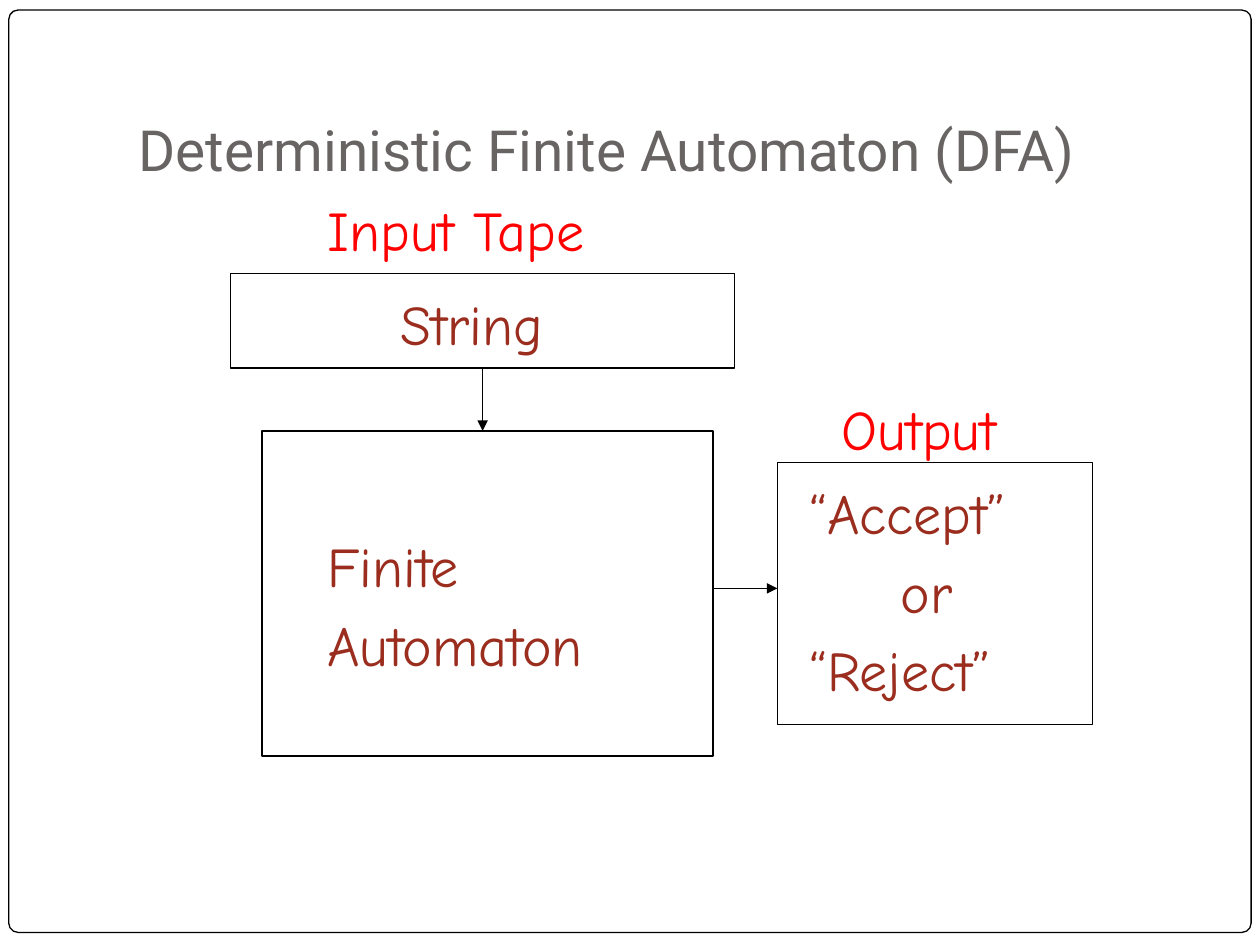
from dataclasses import dataclass

from lxml import etree
from pptx import Presentation
from pptx import util as u
from pptx.dml.color import RGBColor
from pptx.enum import shapes, text
from pptx.oxml import ns


@dataclass(frozen=True)
class Theme:
    title_font: str = "Roboto"
    diagram_font: str = "Comic Neue"
    title_size: float = 32.4
    diagram_size: float = 32
    paragraph_gap: float = 6.4
    line_width: float = 0.75
    paper: RGBColor = RGBColor(0xFF, 0xFF, 0xFF)
    ink: RGBColor = RGBColor(0, 0, 0)
    title: RGBColor = RGBColor(0x69, 0x64, 0x64)
    heading: RGBColor = RGBColor(0xFF, 0, 0)
    content: RGBColor = RGBColor(0x9B, 0x2D, 0x1F)


THEME = Theme()


def inches(*lengths):
    return [u.Inches(length) for length in lengths]


def style_font(paragraph, name, size, color):
    paragraph.font.name = name
    paragraph.font.size = u.Pt(size)
    paragraph.font.color.rgb = color


def style_line(line):
    line.color.rgb = THEME.ink
    line.width = u.Pt(THEME.line_width)


def add_box(slide, *place, kind=shapes.MSO_SHAPE.RECTANGLE):
    box = slide.shapes.add_shape(kind, *inches(*place))
    box.shadow.inherit = False
    box.fill.background()
    style_line(box.line)
    return box


def add_frame(slide):
    frame = add_box(slide, 0.07, 0.08, 9.86, 7.32,
                    kind=shapes.MSO_SHAPE.ROUNDED_RECTANGLE)
    frame.adjustments[0] = 0.01
    frame.fill.solid()
    frame.fill.fore_color.rgb = THEME.paper
    # Send the frame behind the title
    slide.shapes._spTree.insert(2, frame._element)


def set_title(slide, wording):
    title = slide.shapes.title
    title.left, title.top, title.width, title.height = inches(1, 0.3, 8.5, 1.25)
    body = title.text_frame
    body.text = wording
    body.word_wrap = True
    body.auto_size = text.MSO_AUTO_SIZE.NONE
    body.vertical_anchor = text.MSO_ANCHOR.BOTTOM
    body.margin_bottom = u.Inches(0.1)
    paragraph = body.paragraphs[0]
    paragraph.alignment = text.PP_ALIGN.LEFT
    style_font(paragraph, THEME.title_font, THEME.title_size, THEME.title)


def add_label(slide, wording, color, *place):
    label = slide.shapes.add_textbox(*inches(*place))
    body = label.text_frame
    body.word_wrap = True
    body.text = wording
    for index, paragraph in enumerate(body.paragraphs):
        style_font(paragraph, THEME.diagram_font, THEME.diagram_size, color)
        if index:
            paragraph.space_before = u.Pt(THEME.paragraph_gap)
    return label


def indent(paragraph, length):
    properties = paragraph._p.get_or_add_pPr()
    properties.set("marL", str(u.Inches(length)))
    properties.set("indent", "0")


def add_arrow(slide, *ends):
    arrow = slide.shapes.add_connector(shapes.MSO_CONNECTOR.STRAIGHT, *inches(*ends))
    style_line(arrow.line)
    etree.SubElement(arrow.line._get_or_add_ln(), ns.qn("a:tailEnd"), type="triangle")
    etree.SubElement(arrow._element.spPr, ns.qn("a:effectLst"))


def main():
    deck = Presentation()
    deck.slide_width, deck.slide_height = inches(10, 7.5)
    slide = deck.slides.add_slide(deck.slide_layouts[5])

    # Frame and title
    add_frame(slide)
    set_title(slide, "Deterministic Finite Automaton (DFA)")

    # Input tape
    add_box(slide, 1.83, 2.17, 4, 0.75)
    add_label(slide, "Input Tape", THEME.heading, 2.5, 1.5, 2.5, 0.63)
    add_label(slide, "String", THEME.content, 3.08, 2.25, 1.53, 0.63)

    # Automaton
    add_box(slide, 2.08, 3.42, 3.58, 2.58)
    add_label(slide, "Finite\nAutomaton", THEME.content, 2.5, 4.17, 2.45, 1.27)

    # Output
    add_box(slide, 6.17, 3.67, 2.5, 2.08)
    add_label(slide, "Output", THEME.heading, 6.58, 3.08, 1.68, 0.63)
    verdict = add_label(slide, "“Accept”\nor\n“Reject”", THEME.content,
                        6.33, 3.75, 2.03, 1.91)
    indent(verdict.text_frame.paragraphs[1], 0.72)

    # Flow from tape to automaton to output
    add_arrow(slide, 3.83, 2.92, 3.83, 3.42)
    add_arrow(slide, 5.67, 4.67, 6.17, 4.67)

    deck.save("out.pptx")


if __name__ == "__main__":
    main()
